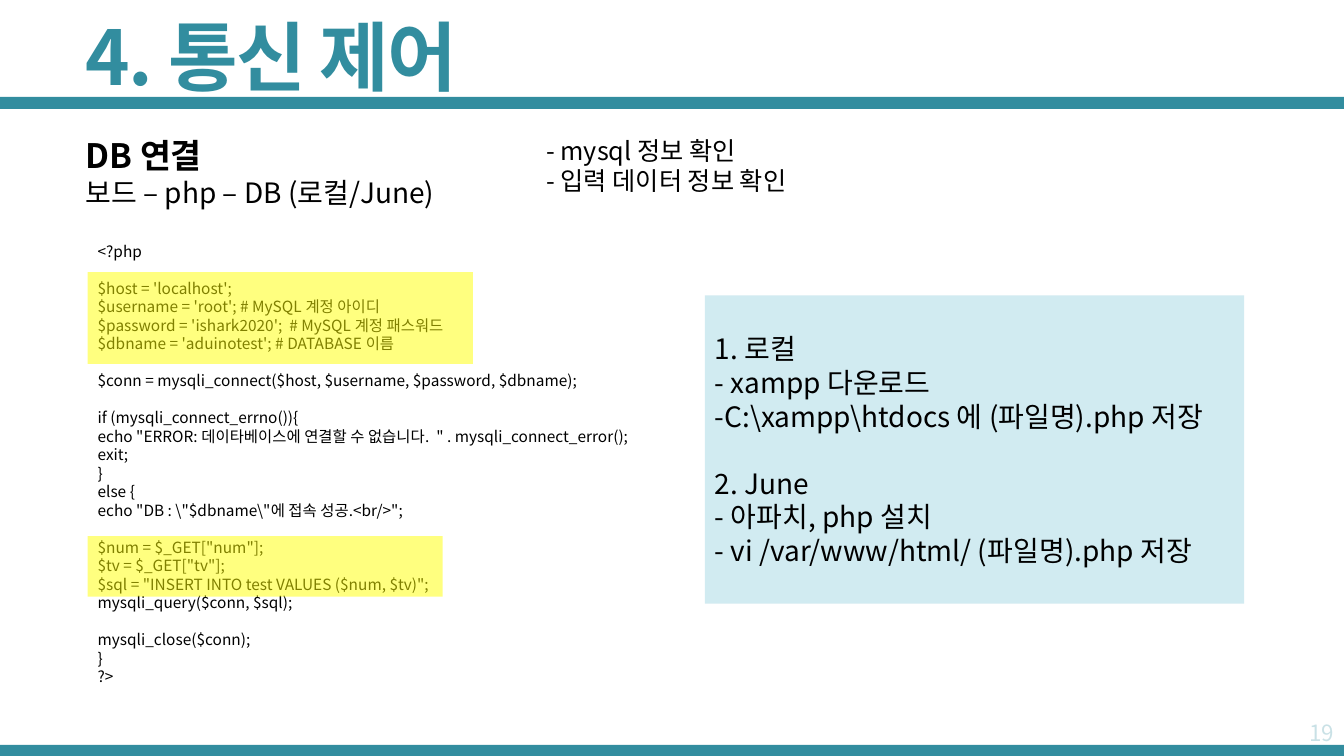
import dataclasses

import lxml.etree
import pptx
import pptx.dml.color
import pptx.enum.shapes
import pptx.enum.text
import pptx.oxml.ns
import pptx.util

Inches = pptx.util.Inches
Pt = pptx.util.Pt
Align = pptx.enum.text.PP_ALIGN
Anchor = pptx.enum.text.MSO_ANCHOR

FONT = "Noto Sans CJK KR"
COLORS = {
    "teal": "328D9F",
    "pale": "D1EBF1",
    "yellow": "FFFF00",
    "black": "000000",
}


@dataclasses.dataclass
class Line:
    text: str
    size: float
    bold: bool = False
    color: str = "black"
    space_before: float = 0


@dataclasses.dataclass
class Box:
    left: float
    top: float
    width: float
    height: float
    lines: list[Line] = dataclasses.field(default_factory=list)
    align: Align = Align.LEFT
    anchor: Anchor = Anchor.TOP
    fill: str | None = None
    opacity: int = 100


def rgb(name: str) -> pptx.dml.color.RGBColor:
    return pptx.dml.color.RGBColor.from_string(COLORS[name])


def set_opacity(fill, percent: int) -> None:
    """Make a solid fill see-through."""
    color = fill._xPr.find(".//" + pptx.oxml.ns.qn("a:srgbClr"))
    alpha = lxml.etree.SubElement(color, pptx.oxml.ns.qn("a:alpha"))
    alpha.set("val", str(percent * 1000))


def line_groups(groups: list[str], size: float, gap: float) -> list[Line]:
    """One line per row, with a gap ahead of each group but the first."""
    return [
        Line(text, size, space_before=gap if index and not row else 0)
        for index, group in enumerate(groups)
        for row, text in enumerate(group.strip().split("\n"))
    ]


def draw_box(slide, box: Box):
    """Draw a text box, or a rectangle if the box has a fill."""
    place = [Inches(n) for n in (box.left, box.top, box.width, box.height)]
    if box.fill:
        shape = slide.shapes.add_shape(pptx.enum.shapes.MSO_SHAPE.RECTANGLE, *place)
        shape.shadow.inherit = False
        shape.fill.solid()
        shape.fill.fore_color.rgb = rgb(box.fill)
        if box.opacity < 100:
            set_opacity(shape.fill, box.opacity)
        shape.line.fill.background()
    else:
        shape = slide.shapes.add_textbox(*place)
    frame = shape.text_frame
    frame.word_wrap = True
    frame.vertical_anchor = box.anchor
    for index, line in enumerate(box.lines):
        paragraph = frame.add_paragraph() if index else frame.paragraphs[0]
        paragraph.text = line.text
        paragraph.alignment = box.align
        if line.space_before:
            paragraph.space_before = Pt(line.space_before)
        font = paragraph.font
        font.name = FONT
        font.size = Pt(line.size)
        font.bold = line.bold
        font.color.rgb = rgb(line.color)
    return shape


CODE = [
    "<?php",
    """
$host = 'localhost';
$username = 'root'; # MySQL 계정 아이디
$password = 'ishark2020';  # MySQL 계정 패스워드
$dbname = 'aduinotest'; # DATABASE 이름
""",
    "$conn = mysqli_connect($host, $username, $password, $dbname);",
    r"""
if (mysqli_connect_errno()){
echo "ERROR: 데이타베이스에 연결할 수 없습니다.  " . mysqli_connect_error();
exit;
}
else {
echo "DB : \"$dbname\"에 접속 성공.<br/>";
""",
    """
$num = $_GET["num"];
$tv = $_GET["tv"];
$sql = "INSERT INTO test VALUES ($num, $tv)";
mysqli_query($conn, $sql);
""",
    """
mysqli_close($conn);
}
?>
""",
]

SETUP = [
    r"""
1. 로컬
- xampp 다운로드
-C:\xampp\htdocs 에 (파일명).php 저장
""",
    """
2. June
- 아파치, php 설치
- vi /var/www/html/ (파일명).php 저장
""",
]

BARS = [Box(0, top, 13.33, 0.12, fill="teal") for top in (0.96, 7.39)]
TITLE = Box(0.75, 0.18, 9.14, 0.87, [Line("4. 통신 제어", 54, True, "teal")],
            anchor=Anchor.MIDDLE)
BODY = [
    # Heading and checks
    Box(0.75, 1.29, 10.33, 0.84,
        [Line("DB 연결", 24, True), Line("보드 – php – DB (로컬/June)", 20)]),
    Box(5.32, 1.29, 6.67, 0.71,
        [Line("- mysql 정보 확인", 18), Line("- 입력 데이터 정보 확인", 18)]),
    # Code with its highlights
    Box(0.87, 2.35, 5.86, 4.54, line_groups(CODE, 11, 13.2)),
    Box(0.87, 2.7, 3.82, 0.91, fill="yellow", opacity=50),
    Box(0.87, 5.32, 3.52, 0.6, fill="yellow", opacity=50),
    # Setup steps
    Box(6.99, 2.93, 5.35, 3.06, line_groups(SETUP, 20, 24),
        Align.JUSTIFY, Anchor.MIDDLE, "pale"),
]
PAGE_NUMBER = Box(10.28, 7, 3.05, 0.45, [Line("19", 16, color="teal")],
                  Align.RIGHT, Anchor.BOTTOM)


def main() -> None:
    presentation = pptx.Presentation()
    presentation.slide_width = Inches(13.33)
    presentation.slide_height = Inches(7.5)
    slide = presentation.slides.add_slide(presentation.slide_layouts[6])

    for bar in BARS:
        draw_box(slide, bar)

    # Title with tight lines and letters
    title = draw_box(slide, TITLE).text_frame.paragraphs[0]
    title.line_spacing = 0.85
    title.font._element.set("spc", "-120")

    for box in BODY:
        draw_box(slide, box)

    # Faint page number
    number = draw_box(slide, PAGE_NUMBER).text_frame.paragraphs[0]
    set_opacity(number.font.fill, 25)

    presentation.save("out.pptx")


if __name__ == "__main__":
    main()
